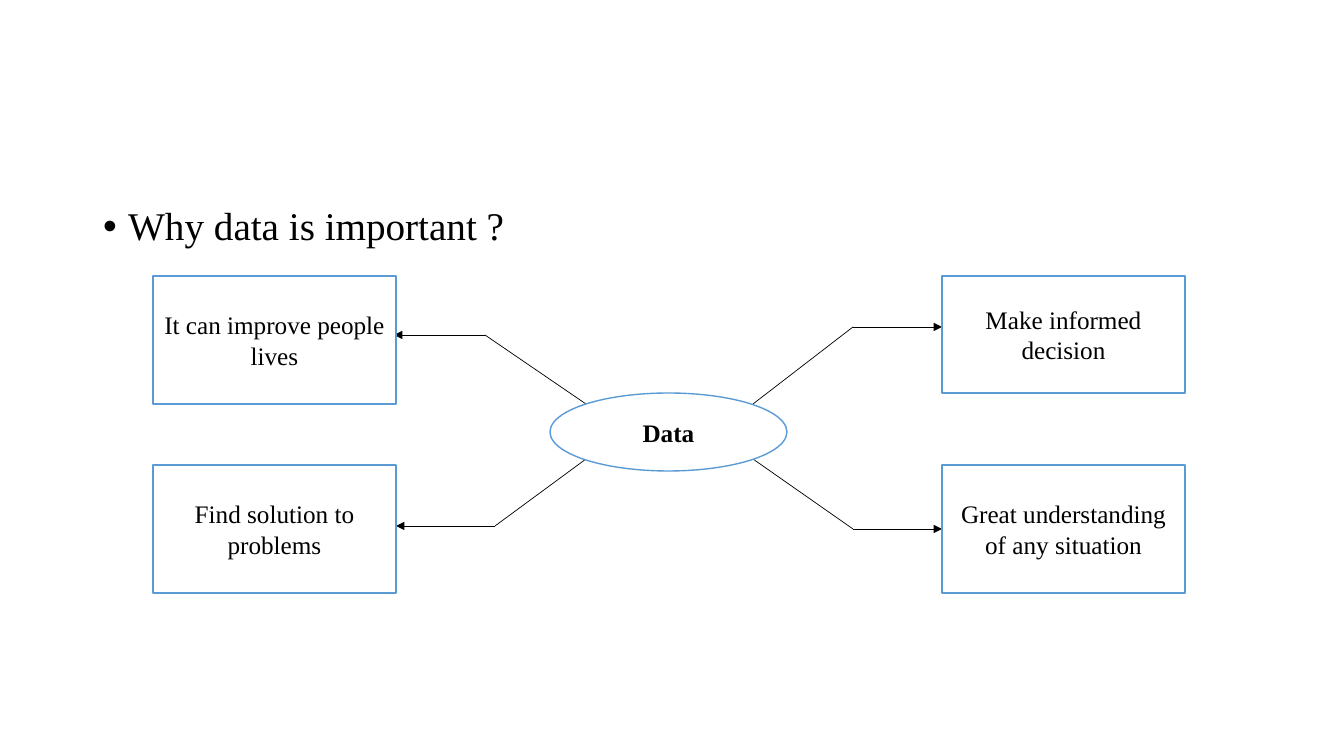
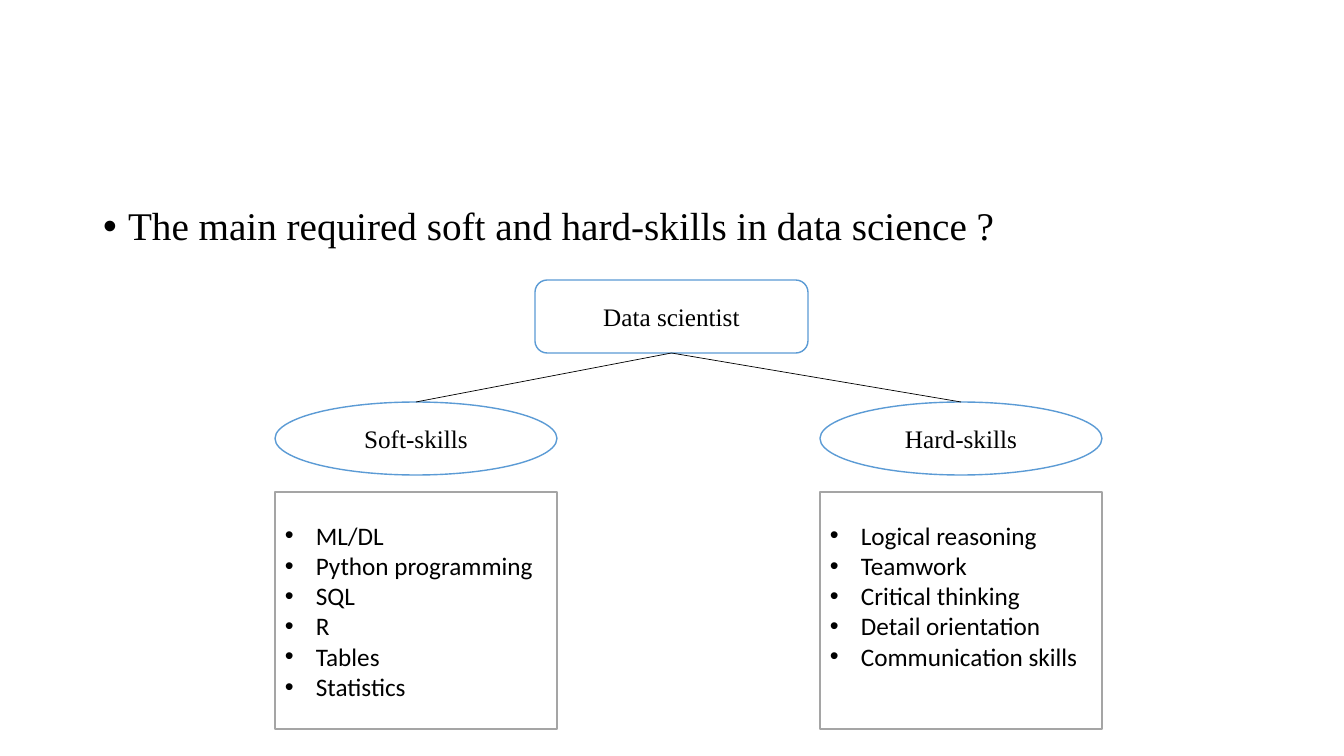
from dataclasses import dataclass

from lxml.etree import SubElement
from pptx import Presentation
from pptx.dml.color import RGBColor
from pptx.enum.shapes import MSO_CONNECTOR, MSO_SHAPE
from pptx.enum.text import MSO_ANCHOR, MSO_AUTO_SIZE, PP_ALIGN
from pptx.oxml.ns import qn
from pptx.shapes.autoshape import Shape
from pptx.shapes.connector import Connector
from pptx.slide import Slide
from pptx.util import Emu, Pt

COLORS = {"text": "000000", "fill": "FFFFFF", "outline": "5B9BD5", "list": "A5A5A5"}
SERIF, SANS = "Times New Roman", "Calibri"
EMU_PER_PIXEL = 914400 / 100.8
Point = tuple[int, int]


@dataclass(frozen=True)
class Box:
    left: int
    top: int
    width: int
    height: int


@dataclass(frozen=True)
class Node:
    text: str
    box: Box
    kind: MSO_SHAPE = MSO_SHAPE.RECTANGLE
    bold: bool = False


@dataclass(frozen=True)
class Branch:
    start: Point
    bend: Point
    tip_x: int


@dataclass(frozen=True)
class SkillGroup:
    name: str
    left: int
    skills: tuple[str, ...]


def px(value: int) -> Emu:
    return Emu(round(value * EMU_PER_PIXEL))


def color(name: str) -> RGBColor:
    return RGBColor.from_string(COLORS[name])


def place(shape: Shape, box: Box) -> None:
    shape.left, shape.top = px(box.left), px(box.top)
    shape.width, shape.height = px(box.width), px(box.height)


def format_text(shape: Shape, size: int, font: str, align: PP_ALIGN, bold: bool = False) -> None:
    for paragraph in shape.text_frame.paragraphs:
        paragraph.alignment = align
        for run in paragraph.runs:
            run.font.size = Pt(size)
            run.font.name = font
            run.font.bold = bold
            run.font.color.rgb = color("text")


def add_bullets(shape: Shape, indent: int) -> None:
    for paragraph in shape.text_frame.paragraphs:
        properties = paragraph._p.get_or_add_pPr()
        properties.set("marL", str(px(indent)))
        properties.set("indent", str(-px(indent)))
        SubElement(properties, qn("a:buFont")).set("typeface", "Arial")
        SubElement(properties, qn("a:buChar")).set("char", "•")


def add_question_slide(presentation: Presentation, question: str) -> Slide:
    slide = presentation.slides.add_slide(presentation.slide_layouts[1])
    title = slide.shapes.title
    title.element.getparent().remove(title.element)
    body = slide.placeholders[1]
    place(body, Box(93, 202, 1159, 480))
    body.text_frame.text = question
    body.text_frame.auto_size = MSO_AUTO_SIZE.NONE
    body.text_frame.vertical_anchor = MSO_ANCHOR.TOP
    paragraph = body.text_frame.paragraphs[0]
    paragraph.line_spacing = 0.9
    paragraph.space_before = Pt(10)
    format_text(body, 28, SERIF, PP_ALIGN.LEFT)
    add_bullets(body, 25)
    return slide


def add_outlined(slide: Slide, kind: MSO_SHAPE, box: Box, outline: str) -> Shape:
    shape = slide.shapes.add_shape(kind, 0, 0, 0, 0)
    place(shape, box)
    shape.shadow.inherit = False
    shape.fill.solid()
    shape.fill.fore_color.rgb = color("fill")
    shape.line.color.rgb = color(outline)
    shape.line.width = Pt(1)
    return shape


def add_node(slide: Slide, node: Node) -> Shape:
    shape = add_outlined(slide, node.kind, node.box, "outline")
    shape.text_frame.text = node.text
    shape.text_frame.vertical_anchor = MSO_ANCHOR.MIDDLE
    format_text(shape, 18, SERIF, PP_ALIGN.CENTER, node.bold)
    return shape


def add_skill_list(slide: Slide, box: Box, skills: tuple[str, ...]) -> None:
    shape = add_outlined(slide, MSO_SHAPE.RECTANGLE, box, "list")
    frame = shape.text_frame
    frame.text = "\n".join(skills)
    frame.vertical_anchor = MSO_ANCHOR.TOP
    frame.margin_top = px(28)
    format_text(shape, 18, SANS, PP_ALIGN.LEFT)
    add_bullets(shape, 31)


def add_line(slide: Slide, start: Point, end: Point, arrow: bool = False) -> Connector:
    line = slide.shapes.add_connector(MSO_CONNECTOR.STRAIGHT, *map(px, start + end))
    line.line.color.rgb = color("text")
    line.line.width = Pt(0.5)
    if arrow:
        SubElement(line.line._get_or_add_ln(), qn("a:tailEnd")).set("type", "triangle")
    SubElement(line.element.spPr, qn("a:effectLst"))
    return line


def build_importance(presentation: Presentation) -> None:
    slide = add_question_slide(presentation, "Why data is important ?")
    left, right, top, bottom, width, height = 153, 942, 276, 465, 243, 128
    branches = (
        Branch((586, 404), (485, 335), 394),
        Branch((753, 404), (853, 327), right),
        Branch((586, 459), (495, 526), left + width),
        Branch((753, 459), (853, 529), right),
    )
    nodes = (
        Node("Data", Box(550, 393, 237, 78), MSO_SHAPE.OVAL, bold=True),
        Node("It can improve people lives", Box(left, top, width, height)),
        Node("Make informed decision", Box(right, top, width, 117)),
        Node("Great understanding of any situation", Box(right, bottom, width, height)),
        Node("Find solution to problems", Box(left, bottom, width, height)),
    )
    for branch in branches:
        add_line(slide, branch.start, branch.bend)
        add_line(slide, branch.bend, (branch.tip_x, branch.bend[1]), arrow=True)
    for node in nodes:
        add_node(slide, node)


def build_skills(presentation: Presentation) -> None:
    slide = add_question_slide(
        presentation, "The main required soft and hard-skills in data science ?"
    )
    scientist = add_node(
        slide, Node("Data scientist", Box(535, 280, 273, 73), MSO_SHAPE.ROUNDED_RECTANGLE)
    )
    groups = (
        SkillGroup(
            "Soft-skills", 275,
            ("ML/DL", "Python programming", "SQL", "R", "Tables", "Statistics"),
        ),
        SkillGroup(
            "Hard-skills", 820,
            ("Logical reasoning", "Teamwork", "Critical thinking",
             "Detail orientation", "Communication skills"),
        ),
    )
    width = 282
    for group in groups:
        oval = add_node(slide, Node(group.name, Box(group.left, 402, width, 73), MSO_SHAPE.OVAL))
        add_skill_list(slide, Box(group.left, 492, width, 237), group.skills)
        line = add_line(slide, (672, 353), (group.left + width // 2, 402))
        line.begin_connect(scientist, 2)
        line.end_connect(oval, 0)


def main() -> None:
    presentation = Presentation()
    presentation.slide_width, presentation.slide_height = px(1344), px(756)
    build_importance(presentation)
    build_skills(presentation)
    presentation.save("out.pptx")


main()
